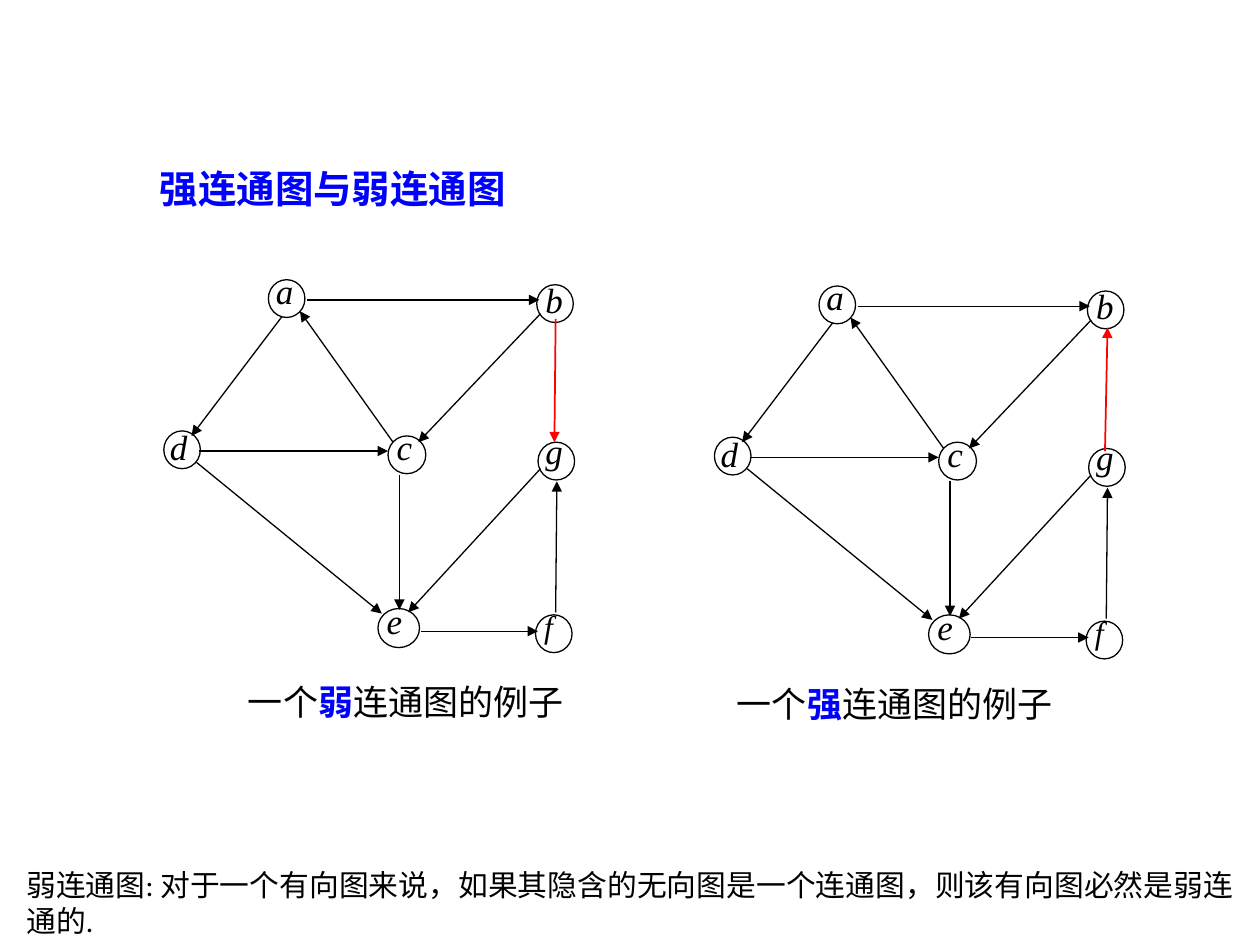
from lxml.etree import SubElement
from pptx import Presentation
from pptx.dml.color import RGBColor
from pptx.enum.shapes import MSO_CONNECTOR as Connector, MSO_SHAPE as Shape
from pptx.oxml.ns import qn
from pptx.util import Inches, Pt

BLACK = RGBColor(0x00, 0x00, 0x00)
BLUE = RGBColor(0x00, 0x00, 0xFF)
RED = RGBColor(0xFF, 0x00, 0x00)
CHINESE = "Noto Sans CJK SC"
BODY = "Calibri"
LETTER = "Times New Roman"

# name: (circle left, top, width, height), (label left, top, width, height), size
NODES = {
    "a": ((2.13, 2.22, 0.29, 0.3), (2.09, 2.09, 0.49, 0.6), 20),
    "b": ((4.26, 2.26, 0.29, 0.3), (4.23, 2.16, 0.49, 0.49), 20),
    "c": ((3.08, 3.46, 0.3, 0.3), (3.05, 3.33, 0.49, 0.54), 20),
    "d": ((1.3, 3.42, 0.29, 0.3), (1.25, 3.33, 0.49, 0.54), 20),
    "e": ((3, 4.83, 0.33, 0.31), (2.97, 4.71, 0.59, 0.49), 20),
    "f": ((4.25, 4.88, 0.29, 0.3), (4.22, 4.77, 0.49, 0.43), 18),
    "g": ((4.27, 3.51, 0.29, 0.3), (4.23, 3.36, 0.49, 0.49), 20),
}
EDGES = {
    "ab": (2.44, 2.38, 4.28, 2.38),
    "bc": (4.29, 2.49, 3.32, 3.51),
    "ca": (3.12, 3.51, 2.38, 2.47),
    "ce": (3.17, 3.77, 3.17, 4.84),
    "ef": (3.34, 5.01, 4.27, 5.01),
    "ad": (2.24, 2.51, 1.52, 3.46),
    "de": (1.56, 3.67, 3.03, 4.87),
    "dc": (1.58, 3.58, 3.08, 3.58),
    "fg": (4.41, 4.86, 4.42, 3.82),
    "ge": (4.29, 3.72, 3.24, 4.86),
}
WEAK_EDGE = (4.41, 2.53, 4.4, 3.51)
STRONG_EDGE = (4.4, 3.53, 4.42, 2.55)
STRONG_SHIFT = (4.37, 0.05)


def shifted(place, shift):
    left, top, width, height = place
    return left + shift[0], top + shift[1], width, height


def add_text(page, place, spans, size, wrap=True):
    box = page.shapes.add_textbox(*map(Inches, place))
    box.text_frame.word_wrap = wrap
    para = box.text_frame.paragraphs[0]
    for text, font_name, color, bold, italic in spans:
        span = para.add_run()
        span.text = text
        font = span.font
        font.name, font.size = font_name, Pt(size)
        font.bold, font.italic = bold, italic
        font.color.rgb = color
        if font_name != LETTER:
            SubElement(span._r.get_or_add_rPr(), qn("a:ea"), typeface=CHINESE)
    return para


def add_node(page, name, shift):
    circle_place, label_place, size = NODES[name]
    label = (name, LETTER, BLACK, False, True)
    add_text(page, shifted(label_place, shift), [label], size)
    circle = page.shapes.add_shape(
        Shape.OVAL, *map(Inches, shifted(circle_place, shift)))
    circle.shadow.inherit = False
    circle.fill.background()
    circle.line.color.rgb = BLACK
    circle.line.width = Pt(0.75)


def add_arrow(page, ends, shift, color=BLACK, width=0.75):
    across, down = shift
    start_x, start_y, end_x, end_y = ends
    points = (start_x + across, start_y + down, end_x + across, end_y + down)
    arrow = page.shapes.add_connector(Connector.STRAIGHT, *map(Inches, points))
    arrow.line.color.rgb = color
    arrow.line.width = Pt(width)
    SubElement(arrow.line._get_or_add_ln(), qn("a:tailEnd"), type="triangle")
    SubElement(arrow._element.spPr, qn("a:effectLst"))


def add_graph(page, red_edge, shift=(0, 0)):
    for ends in EDGES.values():
        add_arrow(page, ends, shift)
    for name in NODES:
        add_node(page, name, shift)
    add_arrow(page, red_edge, shift, RED, 1)


def add_caption(page, place, kind, wrap):
    spans = [
        ("一个", BODY, BLACK, False, False),
        (kind, CHINESE, BLUE, True, False),
        ("连通图的例子", BODY, BLACK, False, False),
    ]
    add_text(page, place, spans, 20, wrap)


def main():
    deck = Presentation()
    deck.slide_width, deck.slide_height = Inches(10), Inches(7.5)
    page = deck.slides.add_slide(deck.slide_layouts[6])

    title = ("强连通图与弱连通图", CHINESE, BLUE, True, False)
    add_text(page, (1.17, 1.08, 7.92, 1.06), [title], 22).line_spacing = 1.5

    add_graph(page, WEAK_EDGE)
    add_graph(page, STRONG_EDGE, STRONG_SHIFT)
    add_caption(page, (1.87, 5.35, 2.73, 0.44), "弱", False)
    add_caption(page, (5.75, 5.37, 3.02, 0.44), "强", True)

    note = "弱连通图: 对于一个有向图来说，如果其隐含的无向图是一个连通图，则该有向图必然是弱连通的."
    add_text(page, (0.11, 6.83, 9.89, 0.67),
             [(note, BODY, BLACK, False, False)], 17)
    deck.save("out.pptx")


if __name__ == "__main__":
    main()
